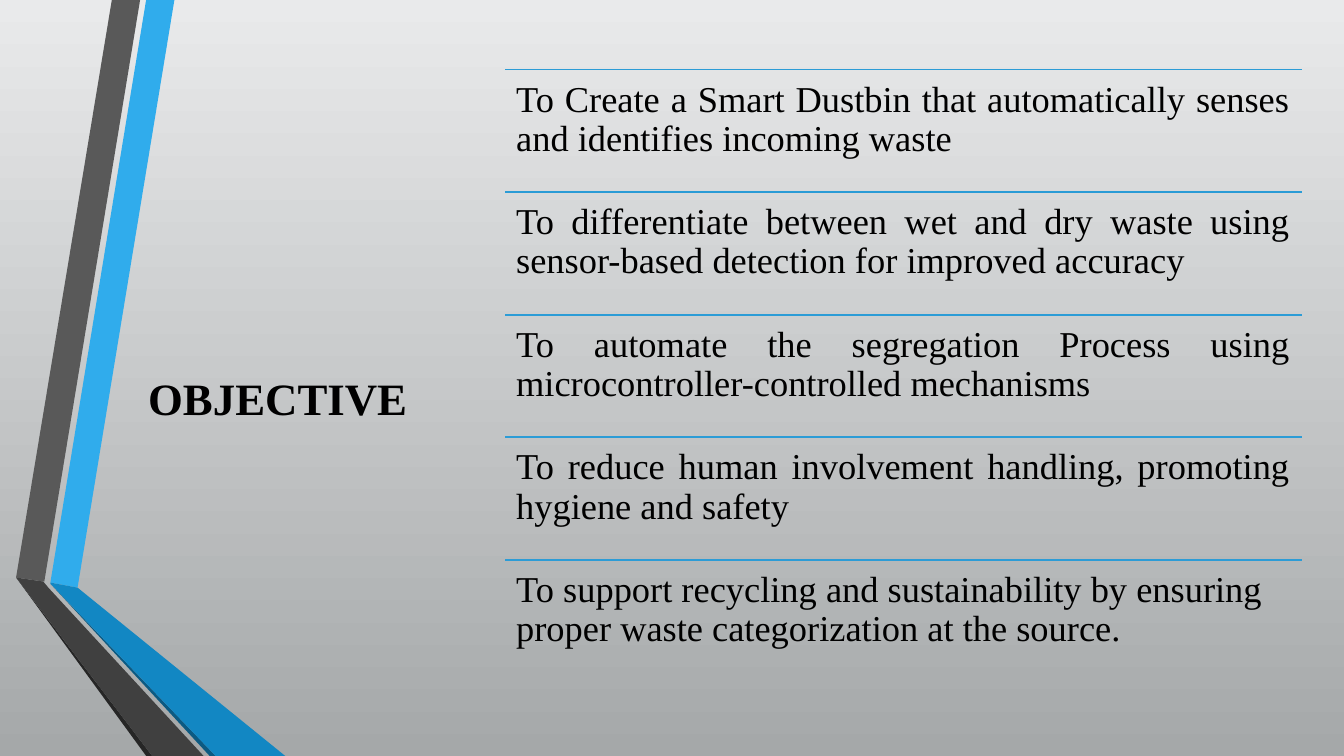
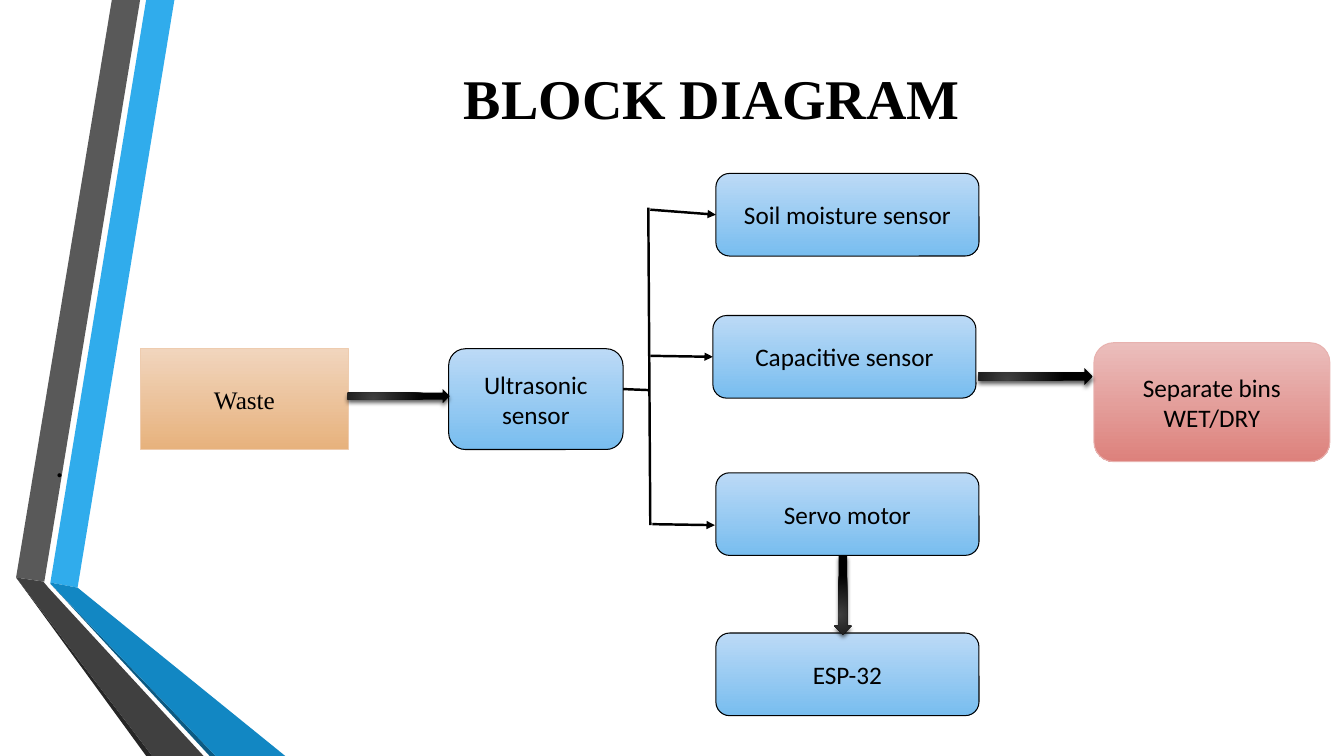
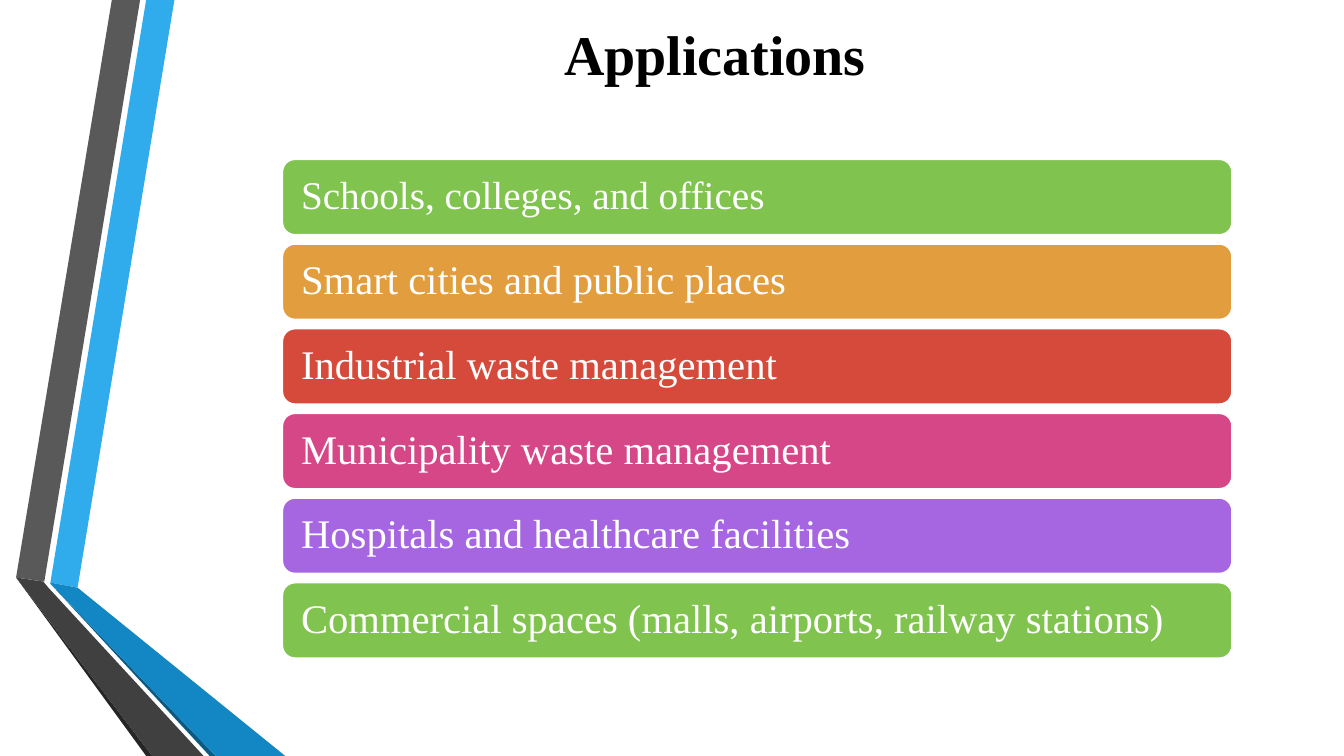
import pptx
import pptx.util
import pptx.dml.color
import pptx.enum.shapes
import pptx.enum.text
import pptx.oxml
import pptx.oxml.ns
import pptx.oxml.xmlchemy

Inches = pptx.util.Inches
Pt = pptx.util.Pt
RGBColor = pptx.dml.color.RGBColor
SHAPE = pptx.enum.shapes.MSO_SHAPE
ALIGN = pptx.enum.text.PP_ALIGN
ANCHOR = pptx.enum.text.MSO_ANCHOR
qn = pptx.oxml.ns.qn
new_element = pptx.oxml.xmlchemy.OxmlElement

# Shared fonts and colours
SERIF = "Times New Roman"
SANS = "Calibri"
BLACK = RGBColor(0x00, 0x00, 0x00)
WHITE = RGBColor(0xFF, 0xFF, 0xFF)
SKY = RGBColor(0x30, 0xAC, 0xEC)
BLUE = RGBColor(0x12, 0x87, 0xC3)
NAVY = RGBColor(0x0C, 0x5A, 0x82)
GREY = RGBColor(0x59, 0x59, 0x59)
DARK_GREY = RGBColor(0x40, 0x40, 0x40)
CHARCOAL = RGBColor(0x26, 0x26, 0x26)
RULE_BLUE = RGBColor(0x2C, 0x9C, 0xD6)
GREEN = RGBColor(0x80, 0xC3, 0x4F)
ORANGE = RGBColor(0xE2, 0x9D, 0x3E)
RED = RGBColor(0xD6, 0x4A, 0x3B)
PINK = RGBColor(0xD6, 0x47, 0x87)
PURPLE = RGBColor(0xA6, 0x66, 0xE1)
PEACH_LINE = RGBColor(0xEE, 0xCC, 0xAF)
ROSE_LINE = RGBColor(0xE8, 0xB2, 0xAF)
# Gradients, top to bottom
BACKDROP = (RGBColor(0xE9, 0xEA, 0xEB), RGBColor(0xA5, 0xA8, 0xA9))
BLUE_FADE = (RGBColor(0xBC, 0xDA, 0xF6), RGBColor(0x78, 0xBD, 0xEF))
PEACH_FADE = (RGBColor(0xF1, 0xD5, 0xBD), RGBColor(0xE7, 0xB2, 0x7D))
ROSE_FADE = (RGBColor(0xEB, 0xBE, 0xBC), RGBColor(0xDD, 0x81, 0x7C))
BLACK_FADE = (DARK_GREY, BLACK)

# Ribbon pieces of the master: colour and corner points in inches
RIBBONS = [
    (SKY, [(0.5, 5.78), (0.77, 5.83), (1.73, 0), (1.45, 0)]),
    (GREY, [(1.39, 0), (1.11, 0), (0.16, 5.73), (0.44, 5.77)]),
    (CHARCOAL, [(0.16, 5.73), (1.45, 7.5), (1.51, 7.5)]),
    (NAVY, [(0.5, 5.79), (2.08, 7.5), (2.14, 7.5)]),
    (BLUE, [(0.5, 5.79), (2.14, 7.5), (2.83, 7.5), (0.77, 5.83), (0.5, 5.78)]),
    (DARK_GREY, [(2.02, 7.5), (0.48, 5.83), (0.43, 5.77), (0.16, 5.73), (1.51, 7.5)]),
]

OBJECTIVES = [
    "To Create a Smart Dustbin that automatically senses and identifies incoming waste",
    "To differentiate between wet and dry waste using sensor-based detection for improved accuracy",
    "To automate the segregation Process using microcontroller-controlled mechanisms",
    "To reduce human involvement handling, promoting hygiene and safety",
    "To support recycling and sustainability by ensuring proper waste categorization at the source.",
]

APPLICATIONS = [
    ("Schools, colleges, and offices", GREEN, 28),
    ("Smart cities and public places", ORANGE, 29),
    ("Industrial waste management", RED, 29),
    ("Municipality waste management", PINK, 29),
    ("Hospitals and healthcare facilities", PURPLE, 29),
    ("Commercial spaces (malls, airports, railway stations)", GREEN, 29),
]


def inches(*lengths):
    return [Inches(length) for length in lengths]


def write_text(shape, text, size=18, font=SANS, color=BLACK, bold=False,
               align=ALIGN.LEFT, anchor=ANCHOR.MIDDLE, spacing=None,
               margins=(0.1, 0.05, 0.1, 0.05)):
    """Fill a shape with one paragraph for each line of text."""
    frame = shape.text_frame
    frame.word_wrap = True
    frame.vertical_anchor = anchor
    (frame.margin_left, frame.margin_top,
     frame.margin_right, frame.margin_bottom) = inches(*margins)
    for index, line in enumerate(text.split("\n")):
        paragraph = frame.add_paragraph() if index else frame.paragraphs[0]
        paragraph.alignment = align
        paragraph.space_before = Pt(0)
        if spacing:
            paragraph.line_spacing = spacing
        run = paragraph.add_run()
        run.text = line
        run.font.size = Pt(size)
        run.font.name = font
        run.font.bold = bold
        run.font.color.rgb = color


def place(shape, box):
    shape.left, shape.top, shape.width, shape.height = inches(*box)


def set_title(slide, text, box, size=40):
    place(slide.shapes.title, box)
    write_text(slide.shapes.title, text, size=size, font=SERIF, bold=True,
               align=ALIGN.CENTER)


def fade(fill, colors):
    fill.gradient()
    fill.gradient_angle = 270
    for position, (stop, color) in enumerate(zip(fill.gradient_stops, colors)):
        stop.position = position
        stop.color.rgb = color


def add_box(slide, kind, box, fill, line=None, weight=0.75):
    """Add a preset shape with a plain colour or a gradient pair as fill."""
    shape = slide.shapes.add_shape(kind, *inches(*box))
    shape.shadow.inherit = False
    if isinstance(fill, RGBColor):
        shape.fill.solid()
        shape.fill.fore_color.rgb = fill
    else:
        fade(shape.fill, fill)
    if line is None:
        shape.line.fill.background()
    else:
        shape.line.color.rgb = line
        shape.line.width = Pt(weight)
    return shape


def add_line(slide, start, end, color, weight, arrow=False):
    line = slide.shapes.add_connector(
        pptx.enum.shapes.MSO_CONNECTOR.STRAIGHT, *inches(*start, *end))
    line.line.color.rgb = color
    line.line.width = Pt(weight)
    properties = line._element.spPr
    if arrow:
        tail = new_element("a:tailEnd")
        tail.set("type", "triangle")
        properties.find(qn("a:ln")).append(tail)
    properties.append(new_element("a:effectLst"))
    return line


def add_block_arrow(slide, box, rotation=0):
    """Add a thick arrow with a radial gradient and a soft shadow."""
    arrow = add_box(slide, SHAPE.RIGHT_ARROW, box, BLACK_FADE)
    arrow.rotation = rotation
    properties = arrow._element.spPr
    linear = properties.find(".//" + qn("a:lin"))
    namespace = pptx.oxml.ns.nsdecls("a")
    linear.getparent().replace(linear, pptx.oxml.parse_xml(
        f'<a:path {namespace} path="circle">'
        '<a:fillToRect l="50000" t="100000" r="100000" b="50000"/></a:path>'))
    properties.find(qn("a:effectLst")).append(pptx.oxml.parse_xml(
        f'<a:outerShdw {namespace} blurRad="{int(Pt(3))}" dist="{int(Pt(2))}" '
        'dir="5400000" rotWithShape="0"><a:srgbClr val="000000">'
        '<a:alpha val="64000"/></a:srgbClr></a:outerShdw>'))


def add_ribbons(presentation, slide):
    """Draw the ribbons and move them to the back of the slide master."""
    master_tree = presentation.slide_master.shapes.element
    for index, (color, corners) in enumerate(RIBBONS):
        points = [inches(*corner) for corner in corners]
        builder = slide.shapes.build_freeform(*points[0], scale=1.0)
        builder.add_line_segments(points[1:], close=True)
        ribbon = builder.convert_to_shape()
        ribbon.shadow.inherit = False
        ribbon.fill.solid()
        ribbon.fill.fore_color.rgb = color
        ribbon.line.fill.background()
        ribbon._element.nvSpPr.cNvPr.set("id", str(100 + index))
        master_tree.insert(2 + index, ribbon._element)


def build_objectives(slide, box):
    """Ruled list with one equal row for each objective."""
    fade(slide.background.fill, BACKDROP)
    set_title(slide, "OBJECTIVE", (1.31, 1.38, 2.89, 5.12), size=32)
    left, top, width, height = box
    row = height / len(OBJECTIVES)
    for index, text in enumerate(OBJECTIVES):
        y = top + index * row
        is_last = index == len(OBJECTIVES) - 1
        add_line(slide, (left, y), (left + width, y), RULE_BLUE, 1.25)
        item = slide.shapes.add_textbox(*inches(left, y, width, row))
        write_text(item, text, size=26, font=SERIF, spacing=0.9,
                   align=ALIGN.LEFT if is_last else ALIGN.JUSTIFY,
                   anchor=ANCHOR.TOP, margins=(0.11,) * 4)


def add_block(slide, text, box, fill=BLUE_FADE, line=BLACK,
              kind=SHAPE.ROUNDED_RECTANGLE, font=SANS):
    block = add_box(slide, kind, box, fill, line)
    write_text(block, text, font=font, align=ALIGN.CENTER)
    return block


def build_diagram(slide, left, top):
    """Block diagram whose parts are offset from its left top corner."""
    set_title(slide, "BLOCK DIAGRAM", (1.62, 0.54, 10.88, 0.84))

    body = slide.placeholders[1]
    place(body, (0.45, 2.92, 12.06, 3.36))
    properties = body.text_frame.paragraphs[0]._p.get_or_add_pPr()
    properties.set("marL", "0")
    properties.set("indent", "0")
    properties.append(new_element("a:buNone"))
    write_text(body, ".", size=24)

    def at(x, y, *size):
        return (left + x, top + y, *size)

    # Blocks
    size = (2.61, 0.82)
    soil = add_block(slide, "Soil moisture sensor", at(5.71, 0, *size))
    capacitive = add_block(slide, "Capacitive sensor", at(5.68, 1.41, *size))
    add_block(slide, "Servo motor", at(5.71, 2.97, *size))
    add_block(slide, "ESP-32", at(5.71, 4.56, *size))
    add_block(slide, "Ultrasonic\nsensor", at(3.06, 1.74, 1.73, 1))
    add_block(slide, "Separate bins\nWET/DRY", at(9.46, 1.68, 2.34, 1.18),
              ROSE_FADE, ROSE_LINE)
    add_block(slide, "Waste", at(0, 1.74, 2.07, 1), PEACH_FADE, PEACH_LINE,
              SHAPE.RECTANGLE, SERIF)

    # Thick arrows
    add_block_arrow(slide, at(2.06, 2.14, 1.01, 0.14))
    add_block_arrow(slide, at(6.58, 4.1, 0.78, 0.17), rotation=90)
    add_block_arrow(slide, at(8.32, 1.93, 1.13, 0.17))

    # Branch to the sensors and the motor
    add_line(slide, at(4.79, 2.14), at(5.04, 2.15), BLACK, 1.75)
    add_line(slide, at(5.04, 0.34), at(5.06, 3.49), BLACK, 1.75)
    for start, end, target in (((5.06, 0.36), (5.71, 0.41), soil),
                               ((5.06, 1.81), (5.68, 1.82), capacitive),
                               ((5.08, 3.48), (5.7, 3.49), None)):
        branch = add_line(slide, at(*start), at(*end), BLACK, 1.75, arrow=True)
        if target is not None:
            branch.end_connect(target, 1)


def build_applications(slide, box):
    """Stack of coloured bars at an even pitch."""
    set_title(slide, "Applications", (1.66, 0, 10.86, 1.06))
    left, top, width, height = box
    gap = 0.09
    bar_height = (height + gap) / len(APPLICATIONS) - gap
    for index, (text, color, size) in enumerate(APPLICATIONS):
        y = top + index * (bar_height + gap)
        bar = add_box(slide, SHAPE.ROUNDED_RECTANGLE, (left, y, width, bar_height),
                      color, WHITE, 1.25)
        write_text(bar, text, size=size, font=SERIF, color=WHITE, spacing=0.9,
                   margins=(0.15, 0.05, 0.15, 0.05))


def main():
    presentation = pptx.Presentation()
    presentation.slide_width, presentation.slide_height = inches(13.33, 7.5)
    title_and_body = presentation.slide_layouts[1]
    title_only = presentation.slide_layouts[5]

    objectives = presentation.slides.add_slide(title_only)
    add_ribbons(presentation, objectives)
    build_objectives(objectives, (5.01, 0.69, 7.9, 6.08))
    build_diagram(presentation.slides.add_slide(title_and_body), 1.39, 1.72)
    build_applications(presentation.slides.add_slide(title_only),
                       (2.8, 1.58, 9.42, 4.95))
    presentation.save("out.pptx")


if __name__ == "__main__":
    main()
